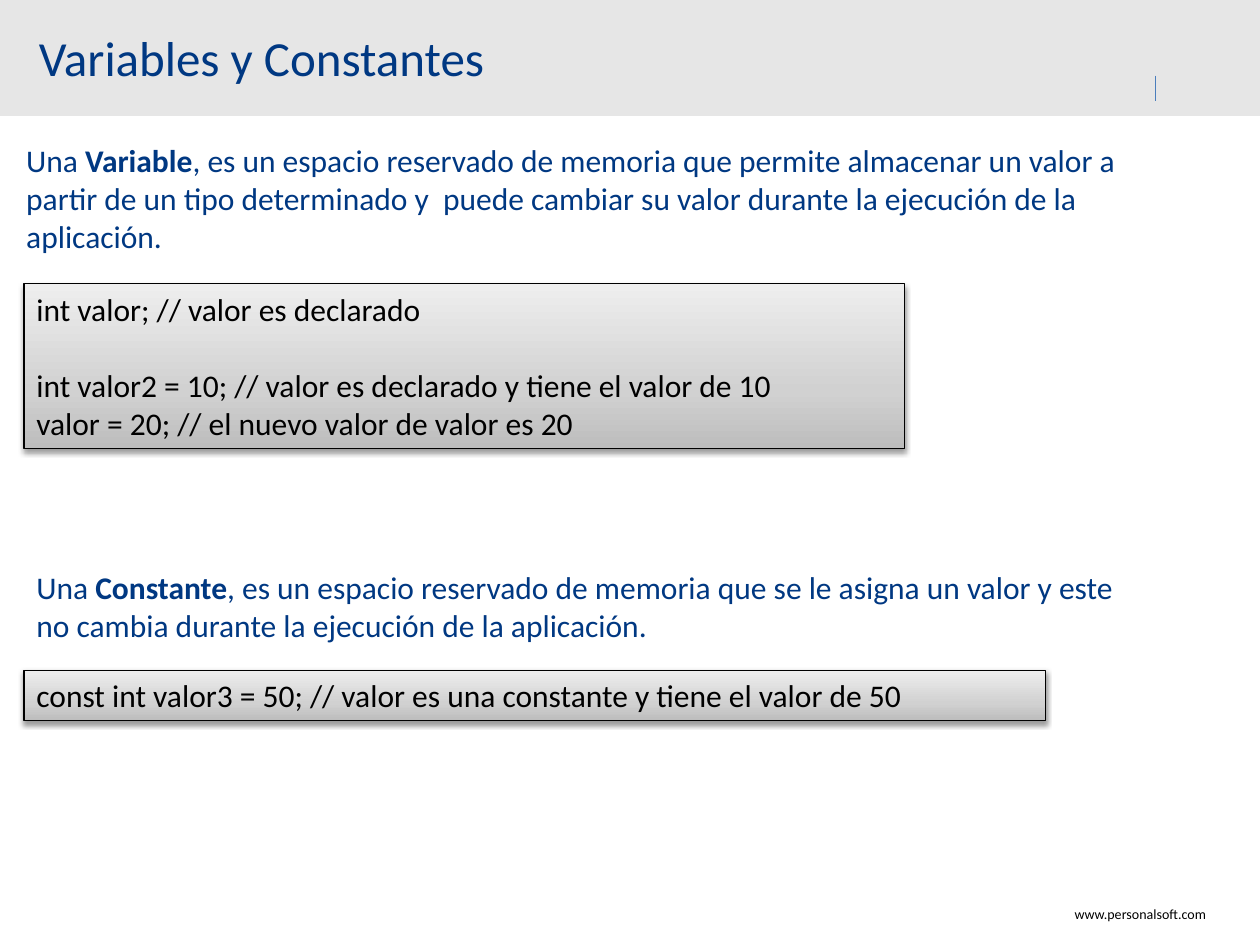
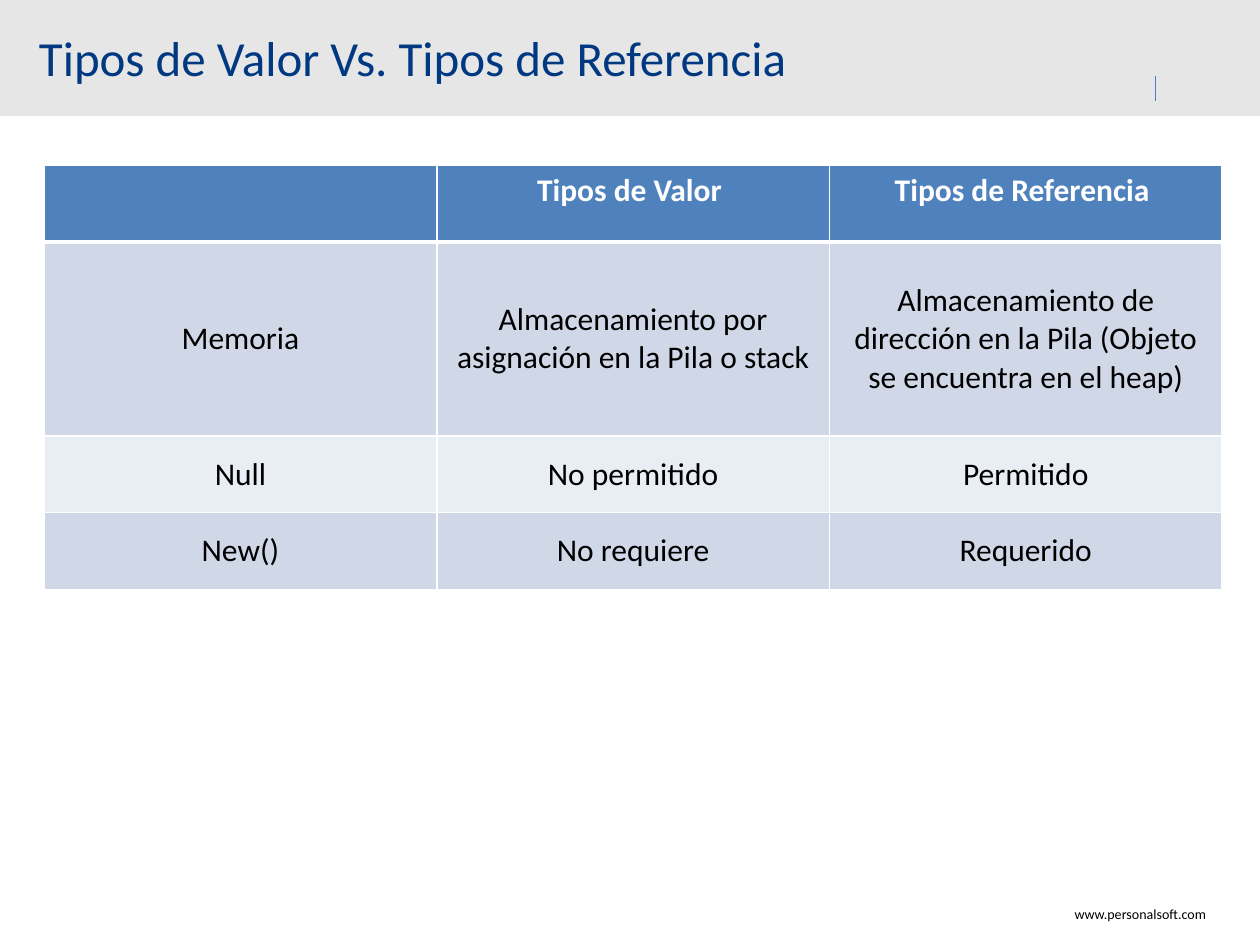
"""Builds two slides on variables, constants, value types and reference types."""
from pptx import Presentation
from pptx.dml.color import RGBColor
from pptx.enum.shapes import MSO_CONNECTOR, MSO_SHAPE
from pptx.enum.text import MSO_ANCHOR, PP_ALIGN
from pptx.oxml import parse_xml
from pptx.oxml.ns import nsdecls
from pptx.util import Inches, Pt

NAVY = RGBColor(0x00, 0x38, 0x82)
BLACK = RGBColor(0x00, 0x00, 0x00)
WHITE = RGBColor(0xFF, 0xFF, 0xFF)
BAND_GREY = RGBColor(0xE6, 0xE6, 0xE6)
TICK_BLUE = RGBColor(0x4B, 0x7E, 0xBC)
HEADER_BLUE = RGBColor(0x4F, 0x81, 0xBD)
ROW_DARK = RGBColor(0xD0, 0xD8, 0xE8)
ROW_LIGHT = RGBColor(0xE9, 0xED, 0xF4)

TITLE = {"size": Pt(28), "color": NAVY}
BODY = {"size": Pt(18), "color": NAVY}
CODE = {"size": Pt(18), "color": BLACK}
FOOTER = {"size": Pt(8), "color": BLACK}
HEADER_CELL = {"size": Pt(18), "color": WHITE, "bold": True}
BODY_CELL = {"size": Pt(18), "color": BLACK, "bold": False}

CODE_STOPS = [(0, "BDBDBD"), (35, "D1D1D1"), (100, "EEEEEE")]


def write(paragraph, text, style):
    run = paragraph.add_run()
    run.text = text
    run.font.name = "Calibri"
    for attribute, value in style.items():
        if attribute == "color":
            run.font.color.rgb = value
        else:
            setattr(run.font, attribute, value)


prs = Presentation()
prs.slide_width, prs.slide_height = Inches(10), Inches(7.5)

slides = []
for title in ("Variables y Constantes", "Tipos de Valor Vs. Tipos de Referencia"):
    slide = prs.slides.add_slide(prs.slide_layouts[6])
    slides.append(slide)

    footer = slide.shapes.add_textbox(Inches(8.43), Inches(7.14), Inches(1.27), Inches(0.24))
    footer.text_frame.word_wrap = False
    write(footer.text_frame.paragraphs[0], "www.personalsoft.com", FOOTER)

    band = slide.shapes.add_shape(MSO_SHAPE.RECTANGLE, 0, 0, Inches(10), Inches(0.92))
    band.shadow.inherit = False
    band.fill.solid()
    band.fill.fore_color.rgb = BAND_GREY
    band.line.fill.background()
    heading = band.text_frame
    margins = {"margin_left": 0.31, "margin_top": 0.04, "margin_right": 0.08, "margin_bottom": 0.05}
    for attribute, value in margins.items():
        setattr(heading, attribute, Inches(value))
    heading.word_wrap = True
    heading.vertical_anchor = MSO_ANCHOR.MIDDLE
    heading.paragraphs[0].alignment = PP_ALIGN.LEFT
    write(heading.paragraphs[0], title, TITLE)

    tick = slide.shapes.add_connector(
        MSO_CONNECTOR.STRAIGHT, Inches(9.17), Inches(0.6), Inches(9.17), Inches(0.8))
    tick.line.color.rgb = TICK_BLUE
    tick.line.width = Pt(0.25)
    tick._element.spPr.append(parse_xml(f"<a:effectLst {nsdecls('a')}/>"))

variables_slide, types_slide = slides

definitions = [
    (0.11, 1.07, 1.01, "Variable",
     ", es un espacio reservado de memoria que permite almacenar un valor a partir de un tipo "
     "determinado y  puede cambiar su valor durante la ejecución de la aplicación."),
    (0.19, 4.46, 0.71, "Constante",
     ", es un espacio reservado de memoria que se le asigna un valor y este no cambia durante "
     "la ejecución de la aplicación."),
]
for left, top, height, term, meaning in definitions:
    definition = variables_slide.shapes.add_textbox(
        Inches(left), Inches(top), Inches(9.03), Inches(height))
    definition.text_frame.word_wrap = True
    sentence = definition.text_frame.paragraphs[0]
    write(sentence, "Una ", BODY)
    write(sentence, term, BODY | {"bold": True})
    write(sentence, meaning, BODY)

code_samples = [
    (2.25, 6.99, 1.31, [
        ("int valor; // valor es declarado", 0),
        ("int valor2 = 10; // valor es declarado y tiene el valor de 10", 22),
        ("valor = 20; // el nuevo valor de valor es 20", 0),
    ]),
    (5.32, 8.11, 0.4, [
        ("const int valor3 = 50; // valor es una constante y tiene el valor de 50", 0),
    ]),
]
stops = "".join(
    f'<a:gs pos="{position * 1000}"><a:srgbClr val="{color}"/></a:gs>'
    for position, color in CODE_STOPS)
for top, width, height, lines in code_samples:
    code = variables_slide.shapes.add_shape(
        MSO_SHAPE.RECTANGLE, Inches(0.19), Inches(top), Inches(width), Inches(height))
    code._element.spPr.append(parse_xml(
        f'<a:gradFill {nsdecls("a")} rotWithShape="1"><a:gsLst>{stops}</a:gsLst>'
        '<a:lin ang="16200000" scaled="0"/></a:gradFill>'))
    code.line.color.rgb = BLACK
    code.line.width = Pt(0.75)
    code._element.spPr.append(parse_xml(
        f'<a:effectLst {nsdecls("a")}><a:outerShdw blurRad="40000" dist="20000" dir="5400000" '
        'rotWithShape="0"><a:srgbClr val="000000"><a:alpha val="38000"/></a:srgbClr>'
        '</a:outerShdw></a:effectLst>'))
    listing = code.text_frame
    listing.word_wrap = True
    listing.vertical_anchor = MSO_ANCHOR.TOP
    for index, (statement, gap) in enumerate(lines):
        line = listing.add_paragraph() if index else listing.paragraphs[0]
        line.alignment = PP_ALIGN.LEFT
        if gap:
            line.space_before = Pt(gap)
        write(line, statement, CODE)

comparison_rows = [
    (0.61, HEADER_BLUE, ["", "Tipos de Valor ", "Tipos de Referencia "]),
    (1.54, ROW_DARK, ["Memoria", "Almacenamiento por asignación en la Pila o stack",
                      "Almacenamiento de dirección en la Pila (Objeto se encuentra en el heap)"]),
    (0.61, ROW_LIGHT, ["Null", "No permitido", "Permitido"]),
    (0.61, ROW_DARK, ["New()", "No requiere", "Requerido"]),
]
comparison = types_slide.shapes.add_table(
    4, 3, Inches(0.35), Inches(1.31), Inches(9.35), Inches(3.37)).table
for column in comparison.columns:
    column.width = Inches(9.35 / 3)
for row_index, (height, fill, texts) in enumerate(comparison_rows):
    comparison.rows[row_index].height = Inches(height)
    borders = {"L": 1, "R": 1, "T": 3 if row_index == 1 else 1, "B": 3 if row_index == 0 else 1}
    for column_index, text in enumerate(texts):
        cell = comparison.cell(row_index, column_index)
        cell.vertical_anchor = MSO_ANCHOR.MIDDLE if row_index else MSO_ANCHOR.TOP
        for side, width in borders.items():
            cell._tc.get_or_add_tcPr().append(parse_xml(
                f'<a:ln{side} {nsdecls("a")} w="{Pt(width)}"><a:solidFill>'
                f'<a:srgbClr val="{WHITE}"/></a:solidFill></a:ln{side}>'))
        cell.fill.solid()
        cell.fill.fore_color.rgb = fill
        if text:
            label = cell.text_frame.paragraphs[0]
            label.alignment = PP_ALIGN.CENTER
            write(label, text, BODY_CELL if row_index else HEADER_CELL)

prs.save("out.pptx")
